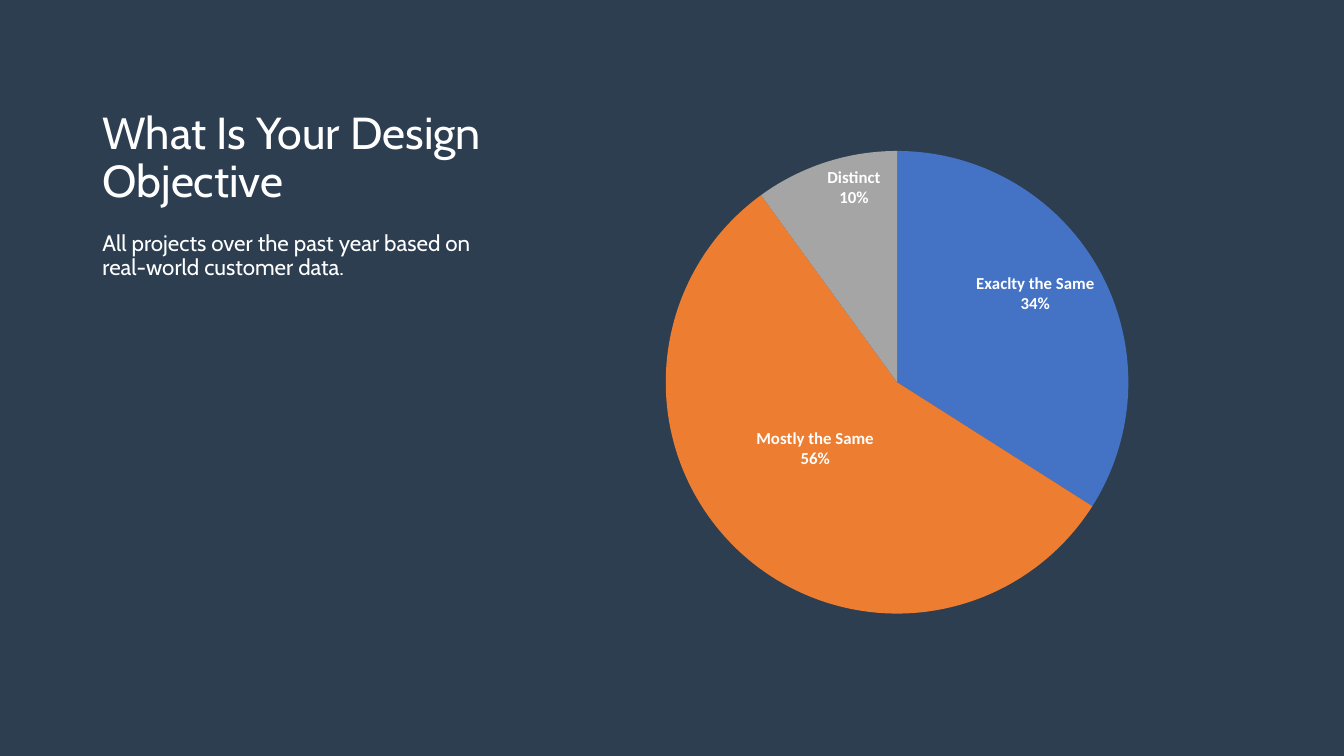
"""Build the design objective slide with a caption and a pie chart."""
import lxml.etree
import pptx
import pptx.chart.data
import pptx.dml.color
import pptx.enum.chart
import pptx.enum.text
import pptx.oxml
import pptx.oxml.ns
import pptx.util

Pt = pptx.util.Pt
qn = pptx.oxml.ns.qn
ANCHOR = pptx.enum.text.MSO_ANCHOR
SLICES = [
    ("Exaclty the Same", 34, "4472C4"),
    ("Mostly the Same", 56, "ED7D31"),
    ("Distinct", 10, "A5A5A5"),
]


def color(value):
    return pptx.dml.color.RGBColor.from_string(value)


def add_text(sp, text, box, size, anchor=ANCHOR.TOP, font="Cabin", fill="FFFFFF"):
    sp.left, sp.top, sp.width, sp.height = [Pt(v) for v in box]
    tf = sp.text_frame
    tf.word_wrap = True
    tf.auto_size = pptx.enum.text.MSO_AUTO_SIZE.NONE
    tf.vertical_anchor = anchor
    p = tf.paragraphs[0]
    p.alignment = pptx.enum.text.PP_ALIGN.LEFT
    p.line_spacing = 0.9
    p.space_before = Pt(0)
    pPr = p._p.get_or_add_pPr()
    pPr.set("marL", "0")
    pPr.set("indent", "0")
    lxml.etree.SubElement(pPr, qn("a:buNone"))
    r = p.add_run()
    r.text = text
    r.font.name, r.font.size, r.font.bold = font, Pt(size), False
    r.font.color.rgb = color(fill)


prs = pptx.Presentation()
prs.slide_width, prs.slide_height = Pt(960), Pt(540)
s = prs.slides.add_slide(prs.slide_layouts[1])
s.background.fill.solid()
s.background.fill.fore_color.rgb = color("2C3E50")

add_text(s.shapes.title, "What Is Your Design Objective", (66, 75.6, 309.6, 76.3), 32,
         anchor=ANCHOR.BOTTOM)
add_text(s.placeholders[1], "All projects over the past year based on real-world customer data.",
         (66, 162, 309.6, 300), 16)

data = pptx.chart.data.ChartData()
data.categories = [name for name, share, fill in SLICES]
data.add_series("Series 1", [share for name, share, fill in SLICES])
chart = s.shapes.add_chart(pptx.enum.chart.XL_CHART_TYPE.PIE, Pt(407.5), Pt(46.8),
                           Pt(486), Pt(427), data).chart
chart.has_legend = False
chart.has_title = False
chart.font.name, chart.font.size = "Calibri", Pt(10)

plot_area = chart._chartSpace.chart.plotArea
for old in plot_area.findall(qn("c:layout")):
    plot_area.remove(old)
plot_area.insert(0, pptx.oxml.parse_xml(
    '<c:layout xmlns:c="http://schemas.openxmlformats.org/drawingml/2006/chart">'
    '<c:manualLayout><c:layoutTarget val="inner"/><c:xMode val="edge"/><c:yMode val="edge"/>'
    '<c:x val="0.14"/><c:y val="0.14"/><c:w val="0.68"/><c:h val="0.78"/>'
    '</c:manualLayout></c:layout>'))

pie = chart.plots[0].series[0]
labels = pie.data_labels
labels.show_value = False
labels.show_percentage = True
labels.show_category_name = True
mostly = pie.points[1].data_label
for label in (labels, mostly):
    label.position = pptx.enum.chart.XL_LABEL_POSITION.INSIDE_END
    label.font.name, label.font.size, label.font.bold = "Calibri", Pt(12), True
    label.font.color.rgb = color("FFFFFF")

dLbls = labels._element
dLbl = dLbls.find(qn("c:dLbl"))
dLbl.find(qn("c:showVal")).set("val", "0")
for tag in ("c:showCatName", "c:showPercent"):
    dLbl.find(qn(tag)).set("val", "1")
dLbl.find(qn("c:idx")).addnext(pptx.oxml.parse_xml(
    '<c:layout xmlns:c="http://schemas.openxmlformats.org/drawingml/2006/chart">'
    '<c:manualLayout><c:x val="0.02"/><c:y val="-0.13"/></c:manualLayout></c:layout>'))
for element in (dLbls, dLbl):
    separator = lxml.etree.Element(qn("c:separator"))
    separator.text = "\n"
    element.find(qn("c:showBubbleSize")).addnext(separator)

for i, (name, share, fill) in enumerate(SLICES):
    point = pie.points[i].format
    point.fill.solid()
    point.fill.fore_color.rgb = color(fill)
    point.line.fill.background()

prs.save("out.pptx")
